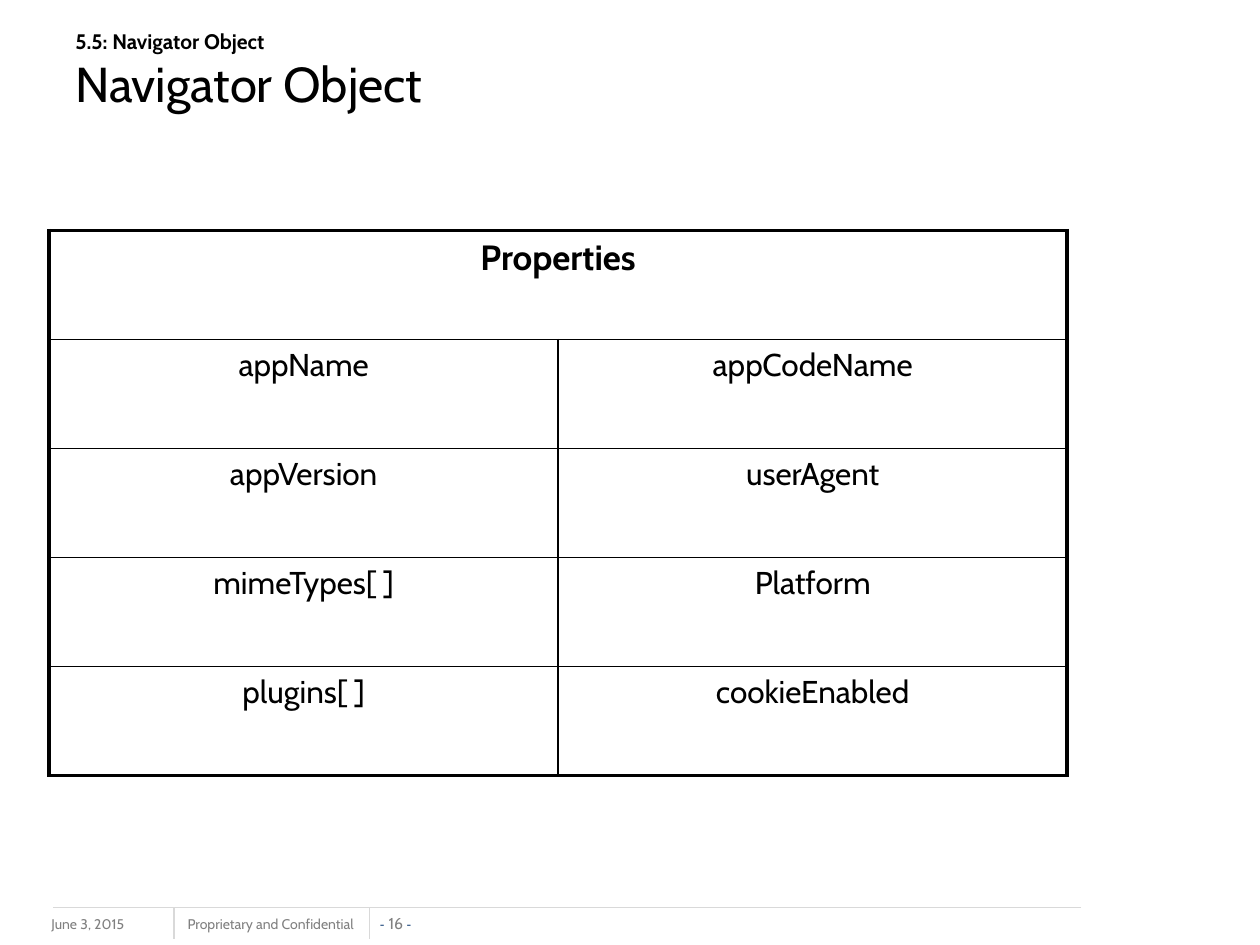
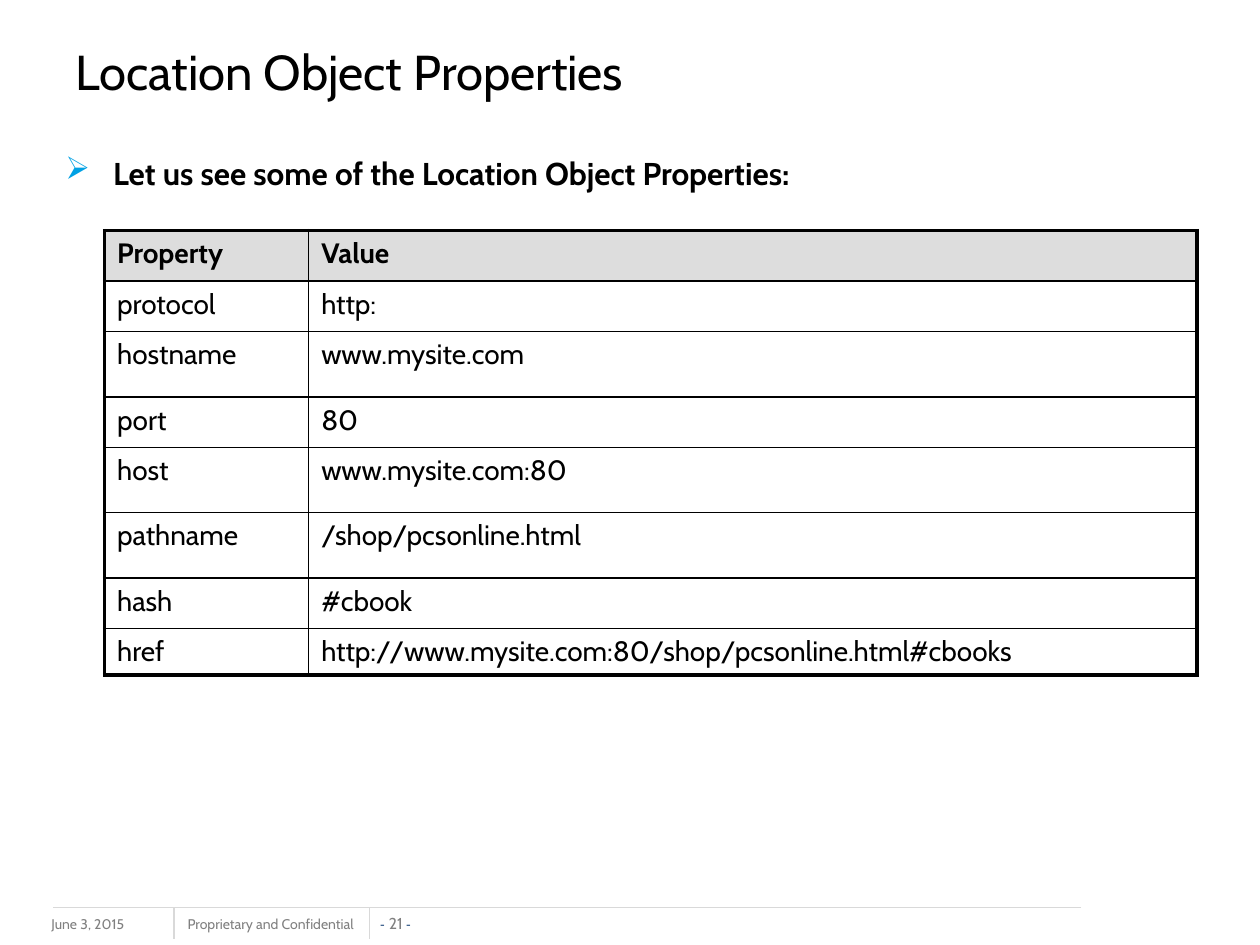
from lxml.etree import SubElement
from pptx import Presentation
from pptx.dml.color import RGBColor
from pptx.enum.shapes import MSO_CONNECTOR
from pptx.enum.text import MSO_ANCHOR, MSO_AUTO_SIZE, PP_ALIGN
from pptx.oxml.ns import qn
from pptx.util import Inches, Pt

FONT = "Cabin"
BLACK, GREY, RULE, NAVY = "000000", "808080", "D9D9D9", "1F497D"
HEADER_FILL, BULLET_BLUE = "DDDDDD", "00A1E4"
OUTER_LINE, INNER_LINE = 2.25, 1

NAVIGATOR_ROWS = [
    ("Properties", ""),
    ("appName", "appCodeName"),
    ("appVersion", "userAgent"),
    ("mimeTypes[ ]", "Platform"),
    ("plugins[ ]", "cookieEnabled"),
]
LOCATION_ROWS = [
    ("Property", "Value"),
    ("protocol", "http:"),
    ("hostname", "www.mysite.com"),
    ("port", "80"),
    ("host", "www.mysite.com:80"),
    ("pathname", "/shop/pcsonline.html"),
    ("hash", "#cbook"),
    ("href", "http://www.mysite.com:80/shop/pcsonline.html#cbooks"),
]


def color(value):
    """Turn a hex string into a colour."""
    return RGBColor.from_string(value)


def style(font, size, tint=BLACK, bold=False, name=FONT):
    """Set the look of a font."""
    font.name, font.size, font.bold = name, Pt(size), bold
    font.color.rgb = color(tint)


def add_text(page, box, text, wrap=True, anchor=MSO_ANCHOR.TOP):
    """Add a text box and return its frame and first paragraph."""
    frame = page.shapes.add_textbox(*map(Inches, box)).text_frame
    frame.word_wrap = wrap
    frame.auto_size = MSO_AUTO_SIZE.NONE if wrap else MSO_AUTO_SIZE.SHAPE_TO_FIT_TEXT
    frame.vertical_anchor = anchor
    para = frame.paragraphs[0]
    para.text = text
    return frame, para


def add_rule(page, x1, y1, x2, y2):
    """Draw a thin footer line."""
    line = page.shapes.add_connector(MSO_CONNECTOR.STRAIGHT, *map(Inches, (x1, y1, x2, y2)))
    line.line.color.rgb = color(RULE)
    line.line.width = Pt(0.75)
    SubElement(line._element.spPr, qn("a:effectLst"))


def add_footer(page, number, left=0.42, top=7.2):
    """Add the date, the notice, the page number and their rules."""
    _, date = add_text(page, (left - 0.11, top + 0.02, 1.33, 0.25), "June 3, 2015")
    _, notice = add_text(page, (left + 0.97, top + 0.02, 1.57, 0.24),
                         "Proprietary and Confidential", wrap=False)
    for para in (date, notice):
        style(para.runs[0].font, 8, GREY)

    frame, para = add_text(page, (left + 2.59, top + 0.05, 0.26, 0.15), "",
                           wrap=False, anchor=MSO_ANCHOR.BOTTOM)
    frame.margin_left = frame.margin_right = frame.margin_top = frame.margin_bottom = 0
    para.alignment = PP_ALIGN.CENTER
    for text, size, tint, name in (("- ", 8, NAVY, "Arial"),
                                   (f"{number} ", 9, GREY, FONT),
                                   ("-", 8, NAVY, "Arial")):
        span = para.add_run()
        span.text = text
        style(span.font, size, tint, name=name)

    add_rule(page, left + 8.16, top, left, top)
    for offset in (0.96, 2.51):
        add_rule(page, left + offset, top, left + offset, top + 0.25)


def add_title(page, title, section=""):
    """Add the slide title, under a small section label if there is one."""
    text = f"{section}\v{title}" if section else title
    _, para = add_text(page, (0.5, 0.17, 9, 0.78), text, anchor=MSO_ANCHOR.MIDDLE)
    style(para.runs[-1].font, 28)
    if section:
        style(para.runs[0].font, 12, bold=True)


def add_bullet(page, box, text):
    """Add a bold line with an arrowhead bullet."""
    _, para = add_text(page, box, text)
    props = para._p.get_or_add_pPr()
    props.set("marL", str(Inches(0.38)))
    props.set("indent", str(-Inches(0.38)))
    tint = SubElement(props, qn("a:buClr"))
    SubElement(tint, qn("a:srgbClr"), val=BULLET_BLUE)
    SubElement(props, qn("a:buChar"), char="➢")
    style(para.runs[0].font, 18, bold=True)


def set_borders(cell, widths):
    """Give a cell its left, right, top and bottom lines."""
    props = cell._tc.get_or_add_tcPr()
    for side, width in zip("LRTB", widths):
        line = SubElement(props, qn(f"a:ln{side}"), w=str(Pt(width)))
        fill = SubElement(line, qn("a:solidFill"))
        SubElement(fill, qn("a:srgbClr"), val=BLACK)


def add_grid(page, place, rows, widths, heights, sizes, align, header_fill=None, merge=False):
    """Add a table with a heavy frame, thin inner lines and a bold header."""
    box = (*place, sum(widths), sum(heights))
    table = page.shapes.add_table(len(rows), len(widths), *map(Inches, box)).table
    table.first_row = table.horz_banding = False
    for column, width in zip(table.columns, widths):
        column.width = Inches(width)
    for row, height in zip(table.rows, heights):
        row.height = Inches(height)
    if merge:
        table.cell(0, 0).merge(table.cell(0, len(widths) - 1))
    for r, texts in enumerate(rows):
        for c, text in enumerate(texts):
            cell = table.cell(r, c)
            end = c + cell.span_width if cell.is_merge_origin else c + 1
            edges = (c == 0 or cell.is_spanned, end == len(widths), r == 0, r == len(rows) - 1)
            set_borders(cell, [OUTER_LINE if edge else INNER_LINE for edge in edges])
            if r == 0 and header_fill:
                cell.fill.solid()
                cell.fill.fore_color.rgb = color(header_fill)
            else:
                cell.fill.background()
            para = cell.text_frame.paragraphs[0]
            para.text = text
            para.alignment = align
            for span in para.runs:
                style(span.font, sizes[0] if r == 0 else sizes[1], bold=r == 0)


def build_navigator(page):
    """Fill the slide on the navigator object."""
    add_footer(page, 16)
    add_title(page, "Navigator Object", "5.5: Navigator Object")
    add_grid(page, (0.39, 1.83), NAVIGATOR_ROWS, [4.04] * 2, [0.865] * 5, (20, 18),
             PP_ALIGN.CENTER, merge=True)


def build_location(page):
    """Fill the slide on the location object."""
    add_footer(page, 21)
    add_title(page, "Location Object Properties")
    add_grid(page, (0.83, 1.83), LOCATION_ROWS, [1.62, 7.05],
             [0.4, 0.4, 0.52, 0.4, 0.52, 0.52, 0.4, 0.37], (16, 16),
             PP_ALIGN.LEFT, header_fill=HEADER_FILL)
    add_bullet(page, (0.42, 1.17, 9, 0.58), "Let us see some of the Location Object Properties:")


def main():
    """Build and save the deck."""
    deck = Presentation()
    deck.slide_width, deck.slide_height = Inches(10), Inches(7.5)
    for build in (build_navigator, build_location):
        build(deck.slides.add_slide(deck.slide_layouts[6]))
    deck.save("out.pptx")


if __name__ == "__main__":
    main()
